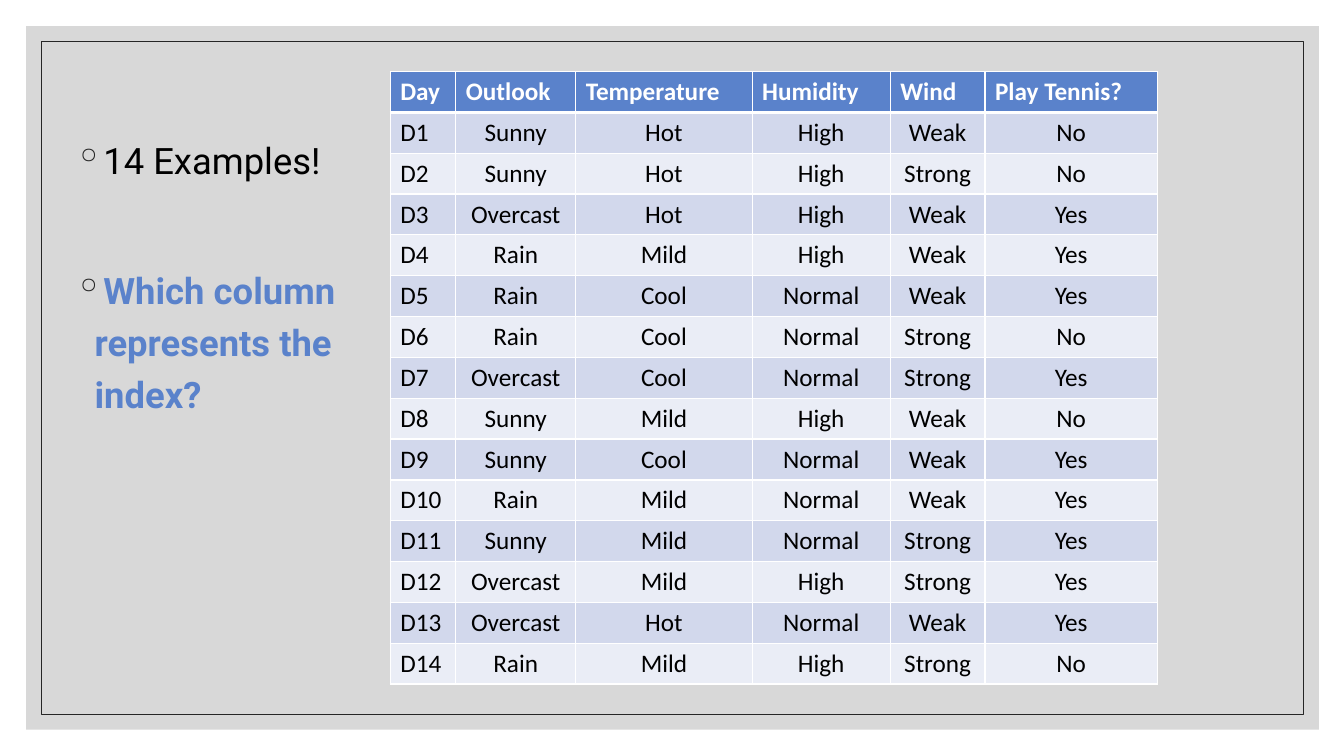
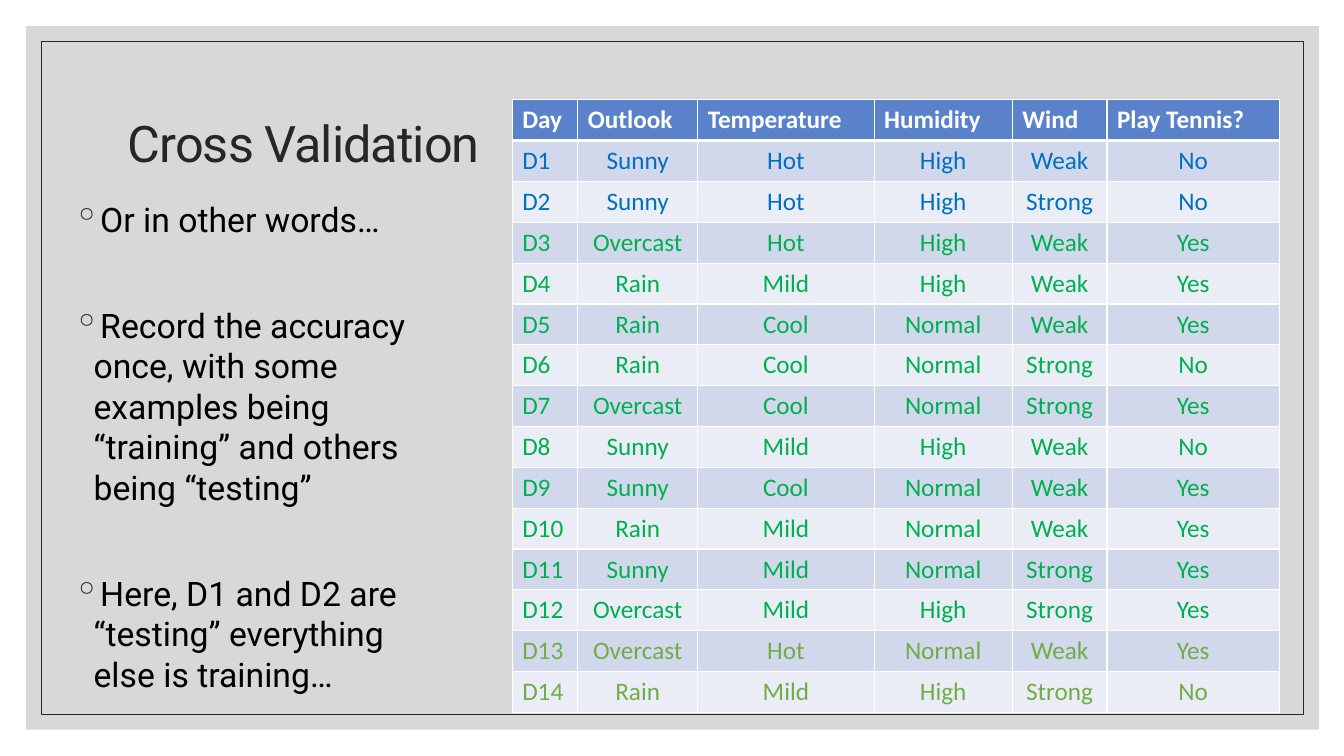
"""Build two slides about the tennis examples and cross validation."""
import lxml.etree
import pptx
import pptx.dml.color
import pptx.enum.shapes
import pptx.enum.text
import pptx.oxml.ns
import pptx.util

Inches = pptx.util.Inches
Pt = pptx.util.Pt
RGBColor = pptx.dml.color.RGBColor
qn = pptx.oxml.ns.qn

WHITE = RGBColor(0xFF, 0xFF, 0xFF)
BLACK = RGBColor(0x00, 0x00, 0x00)
INK = RGBColor(0x26, 0x26, 0x26)
GREY = RGBColor(0xBF, 0xBF, 0xBF)
ACCENT = RGBColor(0x5A, 0x82, 0xCB)
BAND_DARK = RGBColor(0xD2, 0xD8, 0xEC)
BAND_LIGHT = RGBColor(0xEA, 0xED, 0xF6)
TEST_BLUE = RGBColor(0x00, 0x70, 0xC0)
TRAIN_GREEN = RGBColor(0x00, 0xB0, 0x50)
LATE_GREEN = RGBColor(0x70, 0xAD, 0x47)

HEADINGS = ["Day", "Outlook", "Temperature", "Humidity", "Wind", "Play Tennis?"]
COLUMN_WIDTHS = [0.65, 1.19, 1.75, 1.37, 0.94, 1.71]
TABLE_HEIGHT = 6.08
EXAMPLES = [
    ["Sunny", "Hot", "High", "Weak", "No"],
    ["Sunny", "Hot", "High", "Strong", "No"],
    ["Overcast", "Hot", "High", "Weak", "Yes"],
    ["Rain", "Mild", "High", "Weak", "Yes"],
    ["Rain", "Cool", "Normal", "Weak", "Yes"],
    ["Rain", "Cool", "Normal", "Strong", "No"],
    ["Overcast", "Cool", "Normal", "Strong", "Yes"],
    ["Sunny", "Mild", "High", "Weak", "No"],
    ["Sunny", "Cool", "Normal", "Weak", "Yes"],
    ["Rain", "Mild", "Normal", "Weak", "Yes"],
    ["Sunny", "Mild", "Normal", "Strong", "Yes"],
    ["Overcast", "Mild", "High", "Strong", "Yes"],
    ["Overcast", "Hot", "Normal", "Weak", "Yes"],
    ["Rain", "Mild", "High", "Strong", "No"],
]


class TennisDeck:
    """Hold the shared style and the current slide."""

    text_font = "Roboto"
    table_font = "Calibri"

    def __init__(self):
        self.deck = pptx.Presentation()
        self.deck.slide_width = Inches(13.33)
        self.deck.slide_height = Inches(7.5)
        self.page = None

    def add_page(self):
        self.page = self.deck.slides.add_slide(self.deck.slide_layouts[6])
        panel = self.add_rectangle(0.26, 0.26, 12.82, 6.98)
        panel.fill.solid()
        panel.fill.fore_color.rgb = GREY
        panel.line.fill.background()
        color = panel.fill._xPr.find(qn("a:solidFill"))[0]
        lxml.etree.SubElement(color, qn("a:alpha"), val="60000")
        frame = self.add_rectangle(0.41, 0.41, 12.52, 6.68)
        frame.fill.background()
        frame.line.color.rgb = INK
        frame.line.width = Pt(0.5)

    def add_rectangle(self, left, top, width, height):
        shape = self.page.shapes.add_shape(
            pptx.enum.shapes.MSO_SHAPE.RECTANGLE,
            Inches(left), Inches(top), Inches(width), Inches(height))
        shape.shadow.inherit = False
        return shape

    def add_box(self, left, top, width, height):
        box = self.page.shapes.add_textbox(
            Inches(left), Inches(top), Inches(width), Inches(height))
        box.text_frame.word_wrap = True
        return box.text_frame

    def add_span(self, para, text, font, size, color, bold=False):
        span = para.add_run()
        span.text = text
        span.font.name = font
        span.font.size = Pt(size)
        span.font.color.rgb = color
        span.font.bold = bold
        return span

    def add_title(self, text):
        frame = self.add_box(1.17, 0.7, 11, 1.5)
        frame.vertical_anchor = pptx.enum.text.MSO_ANCHOR.MIDDLE
        para = frame.paragraphs[0]
        para.line_spacing = 0.9
        span = self.add_span(para, text, self.text_font, 36, INK)
        span.font._element.set("spc", "-70")

    def add_bullets(self, place, items, size, line_spacing, gap):
        frame = self.add_box(*place)
        for index, (text, color, bold) in enumerate(items):
            para = frame.add_paragraph() if index else frame.paragraphs[0]
            properties = para._p.get_or_add_pPr()
            properties.set("marL", str(Inches(0.2)))
            properties.set("indent", str(-Inches(0.2)))
            bullet_color = lxml.etree.SubElement(properties, qn("a:buClr"))
            lxml.etree.SubElement(bullet_color, qn("a:srgbClr"), val=str(INK))
            lxml.etree.SubElement(properties, qn("a:buChar"), char="◦")
            para.line_spacing = line_spacing
            para.space_before = Pt(gap if index else 0)
            self.add_span(para, text, self.text_font, size, color, bold)

    def add_cell_borders(self, cell, top, bottom):
        properties = cell._tc.get_or_add_tcPr()
        for side, width in (("L", 1), ("R", 1), ("T", top), ("B", bottom)):
            line = lxml.etree.SubElement(
                properties, qn("a:ln" + side), w=str(Pt(width)))
            fill = lxml.etree.SubElement(line, qn("a:solidFill"))
            lxml.etree.SubElement(fill, qn("a:srgbClr"), val=str(WHITE))

    def add_examples_table(self, left, top, row_color):
        rows = [HEADINGS]
        rows += [[f"D{day}", *values] for day, values in enumerate(EXAMPLES, 1)]
        table = self.page.shapes.add_table(
            len(rows), len(HEADINGS), Inches(left), Inches(top),
            Inches(sum(COLUMN_WIDTHS)), Inches(TABLE_HEIGHT)).table
        table.first_row = False
        table.horz_banding = False
        for column, width in zip(table.columns, COLUMN_WIDTHS):
            column.width = Inches(width)
        for day, values in enumerate(rows):
            header = day == 0
            band = ACCENT if header else BAND_DARK if day % 2 else BAND_LIGHT
            color = WHITE if header else row_color(day)
            for position, text in enumerate(values):
                cell = table.cell(day, position)
                self.add_cell_borders(cell, 3 if day == 1 else 1, 3 if header else 1)
                cell.fill.solid()
                cell.fill.fore_color.rgb = band
                para = cell.text_frame.paragraphs[0]
                if position and not header:
                    para.alignment = pptx.enum.text.PP_ALIGN.CENTER
                self.add_span(para, text, self.table_font, 18, color, header)


def plain_color(day):
    return BLACK


def split_color(day):
    if day <= 2:
        return TEST_BLUE
    return TRAIN_GREEN if day <= 12 else LATE_GREEN


def main():
    slides = TennisDeck()

    slides.add_page()
    slides.add_bullets(
        (0.64, 1.23, 3.04, 4.21),
        [("14 Examples!", BLACK, False),
         ("Which column represents the index?", ACCENT, True)],
        size=26, line_spacing=1.2, gap=55.5)
    slides.add_examples_table(3.87, 0.71, plain_color)

    slides.add_page()
    slides.add_title("Cross Validation")
    slides.add_bullets(
        (0.63, 1.92, 3.92, 5.29),
        [("Or in other words…", BLACK, False),
         ("Record the accuracy once, with some examples being “training” "
          "and others being “testing”", BLACK, False),
         ("Here, D1 and D2 are “testing” everything else is training…",
          BLACK, False)],
        size=24.1, line_spacing=1, gap=46.9)
    slides.add_examples_table(5.08, 0.99, split_color)

    slides.deck.save("out.pptx")


if __name__ == "__main__":
    main()
